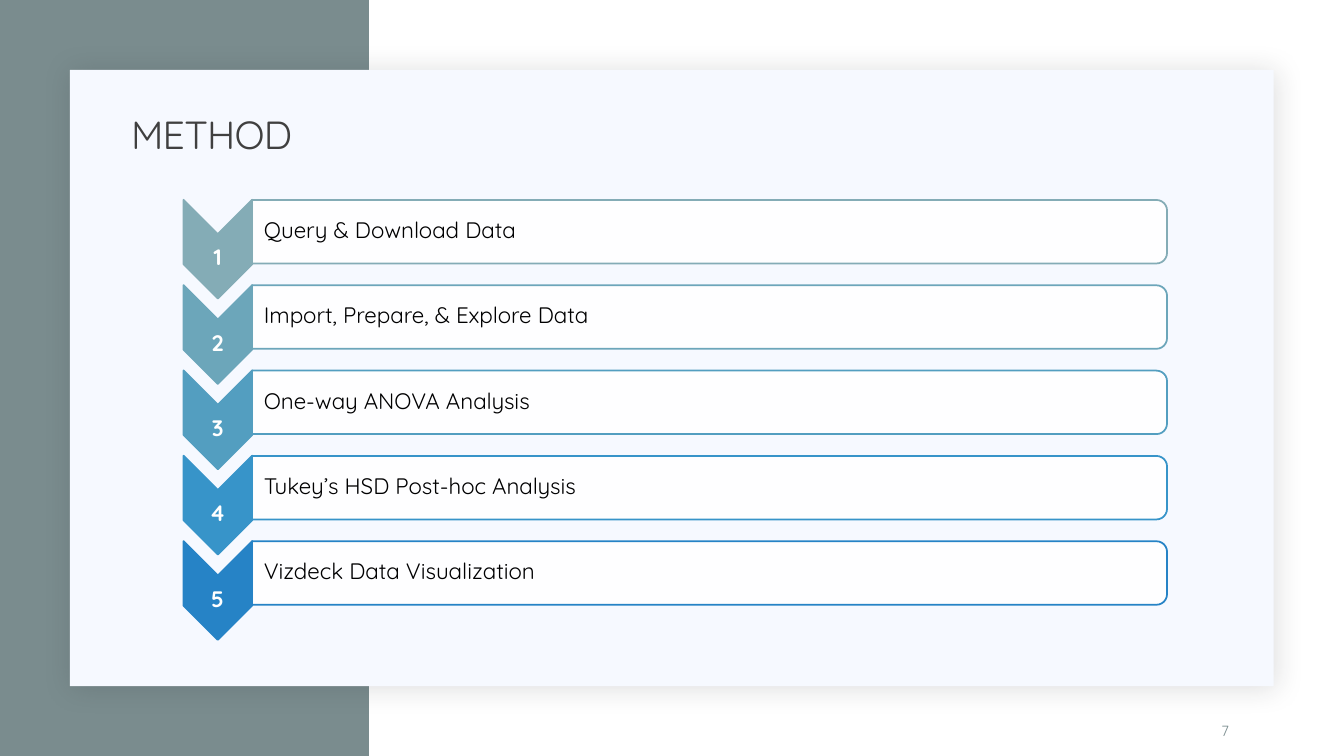
from dataclasses import dataclass

from lxml.etree import SubElement
from pptx import Presentation
from pptx.dml.color import RGBColor
from pptx.enum.shapes import MSO_SHAPE
from pptx.enum.text import MSO_ANCHOR, PP_ALIGN
from pptx.oxml.ns import qn
from pptx.util import Cm, Pt


@dataclass(frozen=True)
class Theme:
    """Hold the colours, font and type sizes of the slide."""
    font: str = "Quicksand"
    slate: str = "7A8C8E"
    panel: str = "F6F9FF"
    shade: str = "1F2125"
    white: str = "FFFFFF"
    black: str = "000000"
    head: str = "404040"
    title: float = 28
    body: float = 16
    small: float = 10.5


THEME = Theme()
STEPS = [
    ("Query & Download Data", "84ACB6"),
    ("Import, Prepare, & Explore Data", "6CA6BA"),
    ("One-way ANOVA Analysis", "539EC0"),
    ("Tukey’s HSD Post-hoc Analysis", "3794C9"),
    ("Vizdeck Data Visualization", "2683C6"),
]
TOP = 5.1
PITCH = 2.15


def apply(target, values):
    """Set each named attribute on the target."""
    for name, value in values.items():
        setattr(target, name, value)


def add_form(slide, kind, box, fill, line=None, turn=0):
    """Add a filled preset shape, outlined if a line colour is given."""
    form = slide.shapes.add_shape(kind, *map(Cm, box))
    form.shadow.inherit = False
    form.rotation = turn
    form.fill.solid()
    form.fill.fore_color.rgb = RGBColor.from_string(fill)
    if line:
        form.line.color.rgb = RGBColor.from_string(line)
        form.line.width = Pt(1.25)
    else:
        form.line.fill.background()
    return form


def add_side(slide, kind, mid, size, fill, line):
    """Add a form turned a quarter clockwise about its middle point."""
    box = (mid[0] - size[0] / 2, mid[1] - size[1] / 2, *size)
    return add_form(slide, kind, box, fill, line, 90)


def set_alpha(color, share):
    """Give a colour element an opacity in percent."""
    SubElement(color, qn("a:alpha")).set("val", str(share * 1000))


def add_shade(form):
    """Cast a soft shadow to the lower right of a form."""
    effects = form.element.spPr.find(qn("a:effectLst"))
    shade = SubElement(effects, qn("a:outerShdw"))
    values = {"blurRad": Pt(20), "dist": Pt(2), "dir": 45 * 60000,
              "algn": "ctr", "rotWithShape": 0}
    for name, value in values.items():
        shade.set(name, str(value))
    color = SubElement(shade, qn("a:srgbClr"))
    color.set("val", THEME.shade)
    set_alpha(color, 15)


def write(shape, text, size, color, frame=None, para=None, bold=False):
    """Fill a shape with one formatted, vertically centred paragraph."""
    body = shape.text_frame
    body.text = text
    apply(body, {"word_wrap": True, "vertical_anchor": MSO_ANCHOR.MIDDLE,
                 **(frame or {})})
    line = body.paragraphs[0]
    apply(line, {"line_spacing": 0.9, "space_before": Pt(0), **(para or {})})
    font = line.runs[0].font
    apply(font, {"name": THEME.font, "size": Pt(size), "bold": bold})
    font.color.rgb = RGBColor.from_string(color)
    return line.runs[0]


def add_text(slide, box, *args, **formats):
    """Add a text box and write in it."""
    write(slide.shapes.add_textbox(*map(Cm, box)), *args, **formats)


def inset(left, top):
    """Return margins that are thin on the right and bottom."""
    return {"margin_left": Cm(left), "margin_top": Cm(top),
            "margin_right": Cm(0.03), "margin_bottom": Cm(0.03)}


def add_step(slide, index, text, color):
    """Add one numbered chevron with its labelled bar."""
    top = TOP + index * PITCH
    add_side(slide, MSO_SHAPE.CHEVRON, (5.49, top + 1.18), (2.49, 1.73),
             color, color)
    add_text(slide, (4.62, top + 0.81, 1.73, 0.74), str(index + 1),
             THEME.body, THEME.white, frame=inset(0.03, 0.51),
             para={"alignment": PP_ALIGN.CENTER}, bold=True)
    bar = add_side(slide, MSO_SHAPE.ROUND_2_SAME_RECTANGLE,
                   (17.88, top + 0.74), (1.6, 23.06), THEME.white, color)
    fill = bar.element.spPr.find(qn("a:solidFill"))
    set_alpha(fill.find(qn("a:srgbClr")), 90)
    add_text(slide, (6.35, top, 22.99, 1.45), text, THEME.body, THEME.black,
             frame=inset(0.3, 0.03))


def add_title(slide, text):
    """Place the title in front of the panel and format it."""
    title = slide.shapes.title
    slide.shapes.element.append(title.element)
    apply(title, {"left": Cm(3.05), "top": Cm(2.62),
                  "width": Cm(27.94), "height": Cm(1.63)})
    run = write(title, text, THEME.title, THEME.head,
                para={"alignment": PP_ALIGN.LEFT})
    run.font.element.set("spc", "-50") if hasattr(run.font, "element") else \
        run.text and run.font and title.element.find(
            ".//" + qn("a:rPr")).set("spc", "-50")


def main():
    """Build and save the slide."""
    deck = Presentation()
    apply(deck, {"slide_width": Cm(33.87), "slide_height": Cm(19.05)})
    slide = deck.slides.add_slide(deck.slide_layouts[5])
    add_form(slide, MSO_SHAPE.RECTANGLE, (0, 0, 9.3, 19.05), THEME.slate)
    panel = add_form(slide, MSO_SHAPE.RECTANGLE, (1.76, 1.76, 30.34, 15.53),
                     THEME.panel)
    add_shade(panel)
    for index, (text, color) in enumerate(STEPS):
        add_step(slide, index, text, color)
    add_text(slide, (30.53, 17.91, 2.16, 1.02), "7", THEME.small, THEME.slate,
             para={"line_spacing": 1.0})
    add_title(slide, "METHOD")
    deck.save("out.pptx")


if __name__ == "__main__":
    main()
